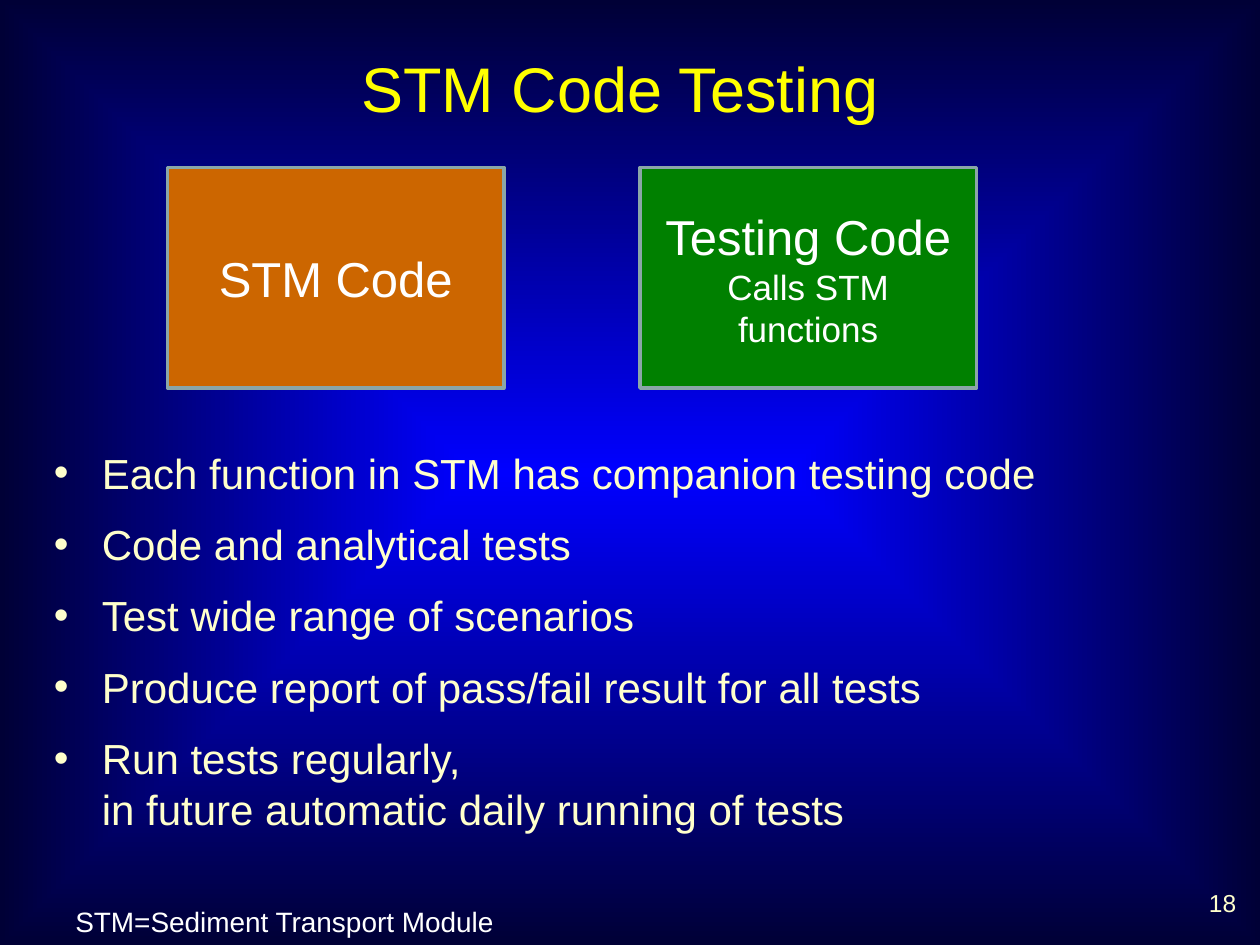
from lxml import etree
from pptx import Presentation
from pptx.dml.color import RGBColor
from pptx.enum import shapes, text
from pptx.oxml.ns import qn
from pptx.util import Inches, Pt

BLUE = RGBColor(0x00, 0x00, 0xFF)
NAVY = RGBColor(0x00, 0x00, 0x36)
YELLOW = RGBColor(0xFF, 0xFF, 0x00)
CREAM = RGBColor(0xFF, 0xFF, 0xCC)
WHITE = RGBColor(0xFF, 0xFF, 0xFF)
ORANGE = RGBColor(0xCC, 0x66, 0x00)
GREEN = RGBColor(0x00, 0x80, 0x00)
GREY = RGBColor(0x8A, 0xA6, 0xA8)
ALIGN = text.PP_ALIGN
MIDDLE = text.MSO_ANCHOR.MIDDLE

POINTS = [
    "Each function in STM has companion testing code",
    "Code and analytical tests",
    "Test wide range of scenarios",
    "Produce report of pass/fail result for all tests",
    "Run tests regularly, \nin future automatic daily running of tests",
]


def paint_back(slide):
    """Fill the background with a gradient running out from the centre."""
    fill = slide.background.fill
    fill.gradient()
    for stop, color in zip(fill.gradient_stops, (BLUE, NAVY)):
        stop.color.rgb = color
    grad = slide.element.find(".//" + qn("a:gradFill"))
    grad.remove(grad.find(qn("a:lin")))
    shade = etree.SubElement(grad, qn("a:path"), path="shape")
    sides = dict.fromkeys("ltrb", "50000")
    etree.SubElement(shade, qn("a:fillToRect"), sides)


def write(frame, lines, color, align=ALIGN.LEFT):
    """Write one paragraph for each (words, size) pair."""
    for i, (words, size) in enumerate(lines):
        para = frame.add_paragraph() if i else frame.paragraphs[0]
        para.text = words
        para.alignment = align
        for run in para.runs:
            run.font.name = "Arial"
            run.font.size = Pt(size)
            run.font.color.rgb = color


def add_text(slide, box, lines, color, align=ALIGN.LEFT, wrap=True):
    frame = slide.shapes.add_textbox(*map(Inches, box)).text_frame
    frame.word_wrap = wrap
    write(frame, lines, color, align)
    return frame


def add_block(slide, box, lines, fill):
    block = slide.shapes.add_shape(
        shapes.MSO_SHAPE.RECTANGLE, *map(Inches, box))
    block.shadow.inherit = False
    block.fill.solid()
    block.fill.fore_color.rgb = fill
    block.line.color.rgb = GREY
    block.line.width = Pt(2)
    block.text_frame.word_wrap = True
    block.text_frame.vertical_anchor = MIDDLE
    write(block.text_frame, lines, WHITE, ALIGN.CENTER)


def add_blocks(slide, left, top):
    wide, high, step = 2.67, 1.75, 3.75
    blocks = [
        ([("STM Code", 28)], ORANGE),
        ([("Testing Code", 28), ("Calls STM functions", 20)], GREEN),
    ]
    for i, (lines, fill) in enumerate(blocks):
        add_block(slide, (left + i * step, top, wide, high), lines, fill)


def add_list(slide, box):
    frame = add_text(slide, box, [(point, 24) for point in POINTS], CREAM)
    hang = Inches(0.38)
    for para in frame.paragraphs:
        para.space_before = Pt(12)
        props = para._p.get_or_add_pPr()
        props.set("marL", str(hang))
        props.set("indent", str(-hang))
        etree.SubElement(props, qn("a:buFont"), typeface="Arial")
        etree.SubElement(props, qn("a:buChar"), char="•")


def main():
    deck = Presentation()
    deck.slide_width, deck.slide_height = Inches(10), Inches(7.5)
    slide = deck.slides.add_slide(deck.slide_layouts[6])
    paint_back(slide)
    add_text(slide, (7.58, 7, 2.33, 0.42), [("18", 14)], CREAM, ALIGN.RIGHT)
    title = add_text(slide, (0.42, 0.25, 9, 0.88),
                     [("STM Code Testing", 36)], YELLOW, ALIGN.CENTER)
    title.vertical_anchor = MIDDLE
    note = add_text(slide, (0.5, 7.13, 3.54, 0.37),
                    [("STM=Sediment Transport Module", 16)], WHITE, wrap=False)
    note.auto_size = text.MSO_AUTO_SIZE.SHAPE_TO_FIT_TEXT
    add_blocks(slide, 1.33, 1.33)
    add_list(slide, (0.33, 3.5, 9.25, 3.17))
    deck.save("out.pptx")


if __name__ == "__main__":
    main()
